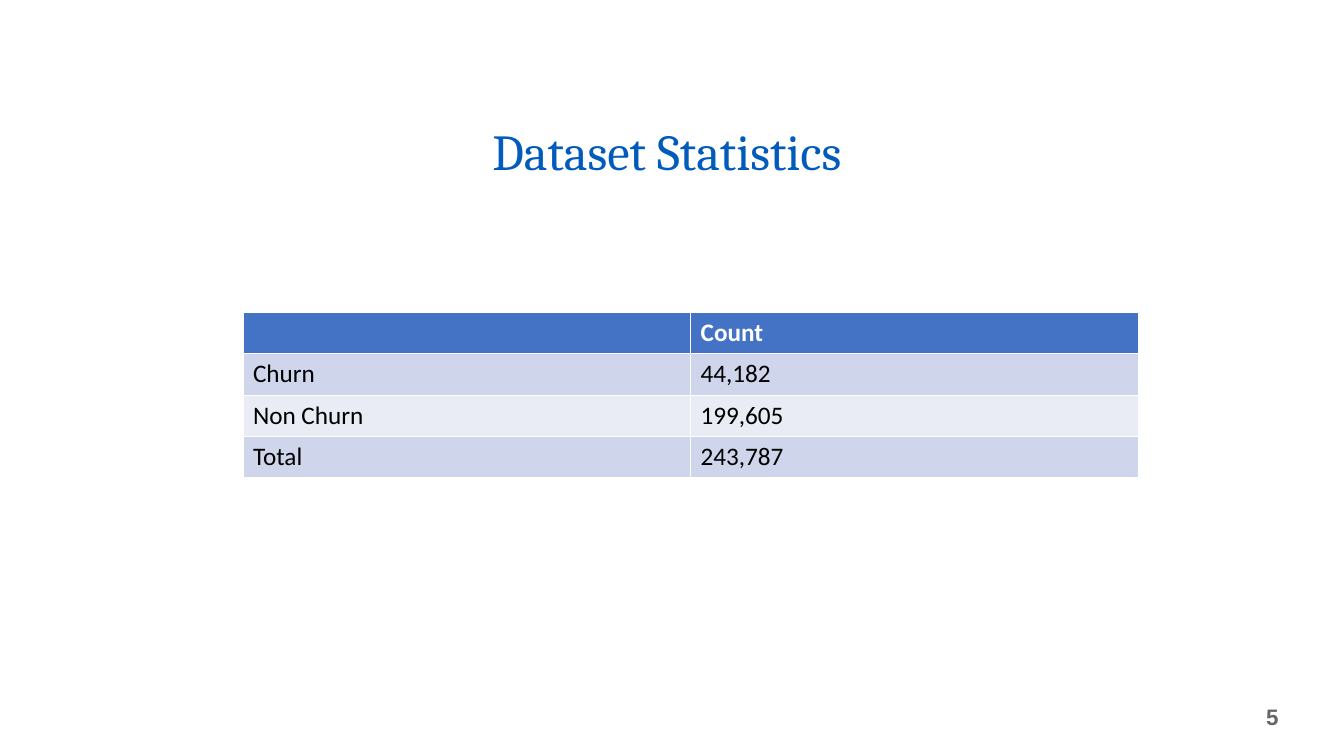
"""Build the dataset statistics slide."""
from pptx import Presentation
from pptx.dml.color import RGBColor
from pptx.enum.text import MSO_ANCHOR, PP_ALIGN
from pptx.util import Inches, Pt

TITLE = "Dataset Statistics "
NUMBER = "5"
ROWS = [
    ("", "Count"),
    ("Churn", "44,182"),
    ("Non Churn", "199,605"),
    ("Total", "243,787"),
]
HEADER_FILL = "4472C4"
BAND_FILLS = ("E9EBF5", "CFD5EA")
COL_W, ROW_H = 4.44, 0.41

TITLE_FONT = {"name": "Cambria", "size": Pt(36), "bold": False}
NUMBER_FONT = {"name": "Arial", "size": Pt(16), "bold": True}
HEADER_FONT = {"name": "Calibri", "size": Pt(18), "bold": True}
BODY_FONT = {**HEADER_FONT, "bold": False}


def rgb(value):
    return RGBColor.from_string(value)


def style(font, values, color):
    for name, value in values.items():
        setattr(font, name, value)
    font.color.rgb = rgb(color)


def write(sp, text, anchor, align, values, color):
    tf = sp.text_frame
    tf.word_wrap = True
    tf.vertical_anchor = anchor
    p = tf.paragraphs[0]
    p.alignment = align
    r = p.add_run()
    r.text = text
    style(r.font, values, color)
    return p


def add_table(s):
    left, top, width, height = map(
        Inches, (2.41, 3.1, COL_W * len(ROWS[0]), ROW_H * len(ROWS)))
    table = s.shapes.add_table(
        len(ROWS), len(ROWS[0]), left, top, width, height).table
    for i, row in enumerate(ROWS):
        fill = BAND_FILLS[i % 2] if i else HEADER_FILL
        values, color = (BODY_FONT, "000000") if i else (HEADER_FONT, "FFFFFF")
        for j, text in enumerate(row):
            cell = table.cell(i, j)
            cell.fill.solid()
            cell.fill.fore_color.rgb = rgb(fill)
            cell.text = text
            p = cell.text_frame.paragraphs[0]
            for r in p.runs or [p]:
                style(r.font, values, color)


def main():
    prs = Presentation()
    prs.slide_width, prs.slide_height = Inches(13.33), Inches(7.5)
    s = prs.slides.add_slide(prs.slide_layouts[5])

    title = s.shapes.title
    title.left, title.top, title.width, title.height = map(
        Inches, (2.87, 1.2, 7.6, 0.65))
    p = write(title, TITLE, MSO_ANCHOR.BOTTOM, PP_ALIGN.CENTER,
              TITLE_FONT, "005BBB")
    p.line_spacing = 0.9

    number = s.shapes.add_textbox(*map(Inches, (8.28, 6.91, 4.5, 0.4)))
    write(number, NUMBER, MSO_ANCHOR.MIDDLE, PP_ALIGN.RIGHT,
          NUMBER_FONT, "666666")

    add_table(s)
    prs.save("out.pptx")


if __name__ == "__main__":
    main()
